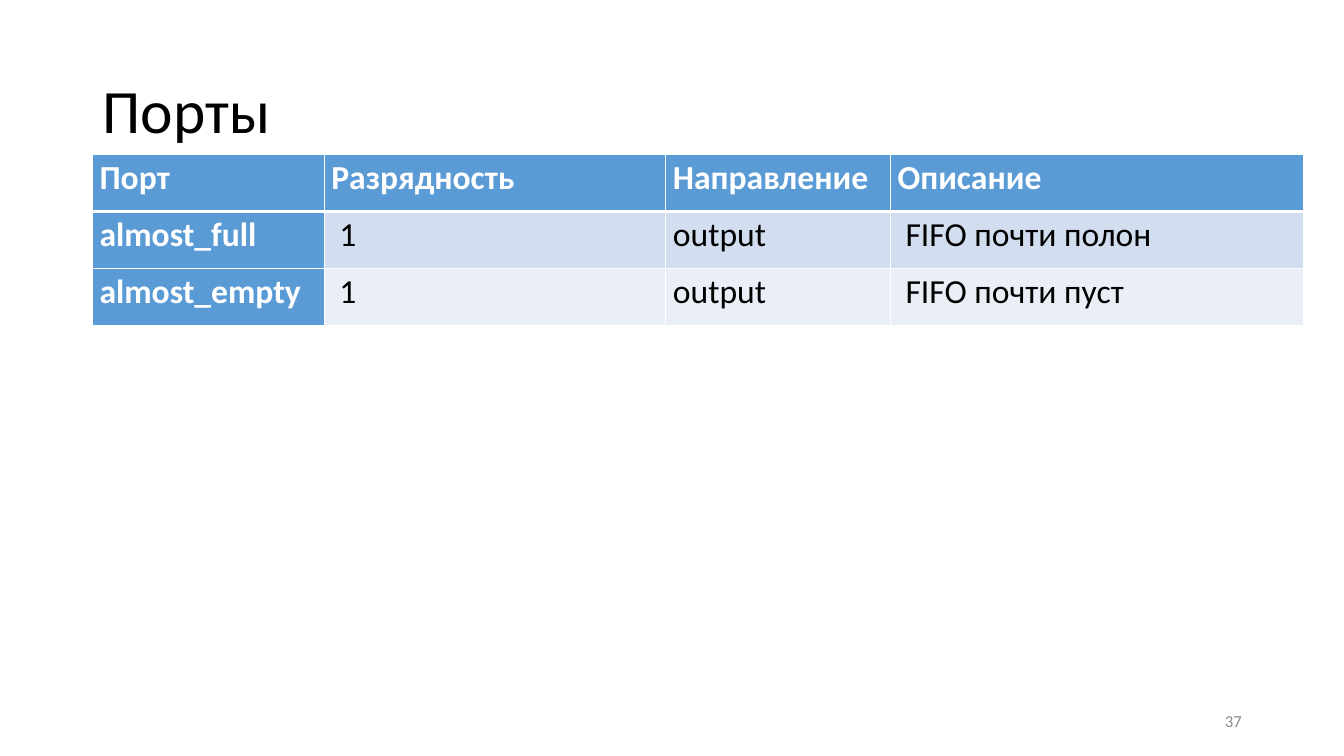
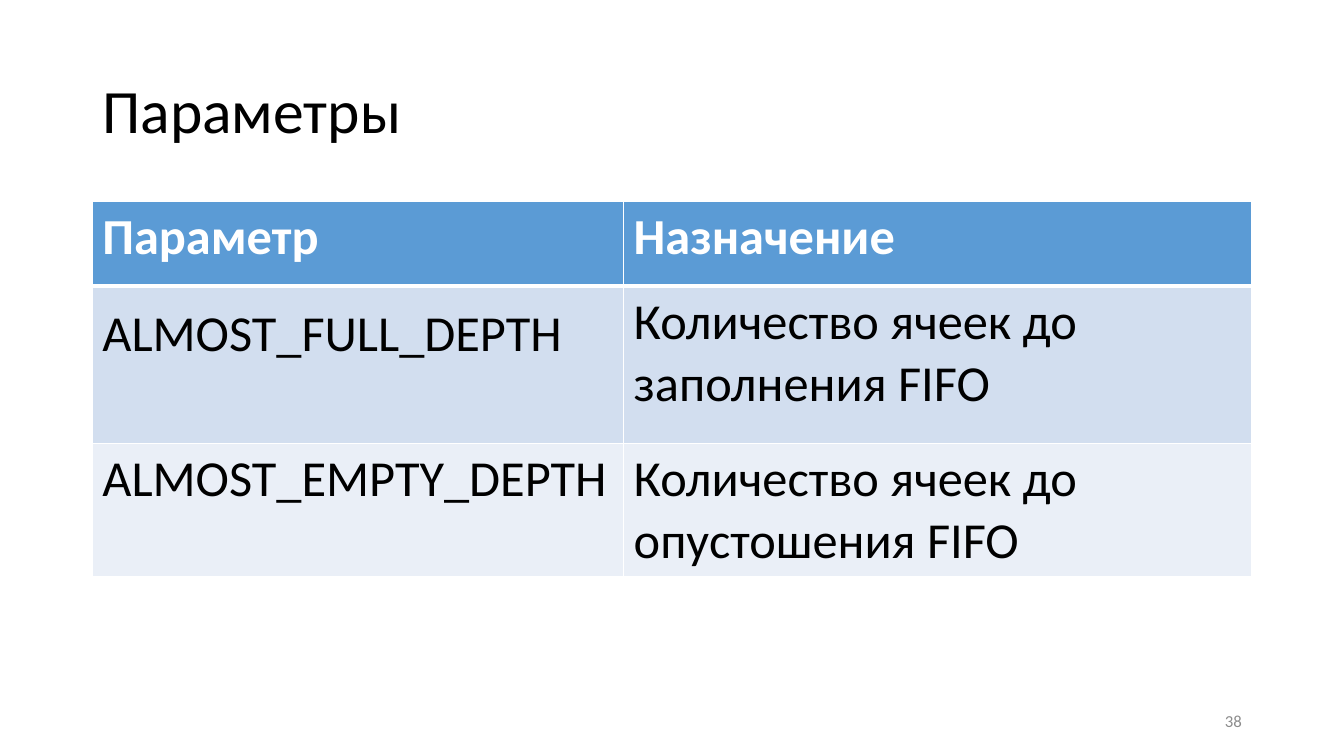
from lxml.etree import SubElement
from pptx import Presentation
from pptx.dml.color import RGBColor
from pptx.enum.text import MSO_ANCHOR as Anchor, PP_ALIGN as Align
from pptx.oxml.ns import qn
from pptx.util import Cm, Pt

FONT = "Calibri"
BLACK, WHITE, GREY = "000000", "FFFFFF", "8C8C8C"
ACCENT = "5B9BD5"
BANDS = ("D2DEEF", "EAEFF7")
LEFT = 2.33
TITLE_BOX = (LEFT, 1.02, 29.21, 3.68)
NUMBER_BOX = (23.93, 17.65, 7.62, 1.02)


def color(value):
    return RGBColor.from_string(value)


def write(text_frame, text, size, ink, bold=False, align=Align.LEFT, spacing=1.0):
    paragraph = text_frame.paragraphs[0]
    paragraph.alignment = align
    paragraph.line_spacing = spacing
    run = paragraph.add_run()
    run.text = text
    run.font.name = FONT
    run.font.size = Pt(size)
    run.font.bold = bold
    run.font.color.rgb = color(ink)


def add_label(slide, box, text, size, ink, **style):
    shape = slide.shapes.add_textbox(*map(Cm, box))
    text_frame = shape.text_frame
    text_frame.word_wrap = True
    text_frame.vertical_anchor = Anchor.MIDDLE
    write(text_frame, text, size, ink, **style)


def set_borders(cell, top=1, bottom=1):
    """Draw white cell borders; widths are in points."""
    properties = cell._tc.get_or_add_tcPr()
    widths = {"a:lnL": 1, "a:lnR": 1, "a:lnT": top, "a:lnB": bottom}
    for position, (tag, width) in enumerate(widths.items()):
        line = SubElement(properties, qn(tag), w=str(Pt(width)))
        fill = SubElement(line, qn("a:solidFill"))
        SubElement(fill, qn("a:srgbClr"), val=WHITE)
        properties.insert(position, line)


def add_grid(slide, top, widths, heights, rows, size, spacing=1.0,
             bold_first_column=False, side_margin=0.25, edge_margin=0.13,
             indents=None, cell_spacing=None):
    """Banded table; indents go by body column, cell_spacing by (row, column)."""
    indents, cell_spacing = indents or {}, cell_spacing or {}
    frame = slide.shapes.add_table(
        len(rows), len(widths), Cm(LEFT), Cm(top), Cm(sum(widths)), Cm(sum(heights)))
    table = frame.table
    table.horz_banding = False
    for column, width in zip(table.columns, widths):
        column.width = Cm(width)
    for row_index, (row, height) in enumerate(zip(rows, heights)):
        table.rows[row_index].height = Cm(height)
        is_header = row_index == 0
        for column_index, text in enumerate(row):
            cell = table.cell(row_index, column_index)
            strong = is_header or (bold_first_column and column_index == 0)
            indent = 0 if is_header else indents.get(column_index, 0)
            cell.margin_left = Cm(side_margin + indent)
            cell.margin_right = Cm(side_margin)
            cell.margin_top = cell.margin_bottom = Cm(edge_margin)
            cell.fill.solid()
            cell.fill.fore_color.rgb = color(
                ACCENT if strong else BANDS[(row_index - 1) % 2])
            set_borders(cell, top=3 if row_index == 1 else 1,
                        bottom=3 if is_header else 1)
            write(cell.text_frame, text, size, WHITE if strong else BLACK, bold=strong,
                  spacing=cell_spacing.get((row_index, column_index), spacing))


def add_page(presentation, title, number):
    slide = presentation.slides.add_slide(presentation.slide_layouts[6])
    add_label(slide, TITLE_BOX, title, 44, BLACK, spacing=0.9)
    add_label(slide, NUMBER_BOX, str(number), 12, GREY, align=Align.RIGHT)
    return slide


def add_ports_slide(presentation, number):
    slide = add_page(presentation, "Порты", number)
    rows = [
        ("Порт", "Разрядность", "Направление", "Описание"),
        ("almost_full", "1", "output", "FIFO почти полон"),
        ("almost_empty", "1", "output", "FIFO почти пуст"),
    ]
    add_grid(slide, 3.89, (5.84, 8.61, 5.66, 10.42), (1.44,) * 3, rows, 24,
             spacing=1.07, bold_first_column=True, side_margin=0.18, edge_margin=0,
             indents={1: 0.2, 3: 0.2})


def add_parameters_slide(presentation, number):
    slide = add_page(presentation, "Параметры", number)
    rows = [
        ("Параметр", "Назначение"),
        ("ALMOST_FULL_DEPTH", "Количество ячеек до заполнения FIFO"),
        ("ALMOST_EMPTY_DEPTH", "Количество ячеек до опустошения FIFO"),
    ]
    add_grid(slide, 5.08, (13.39, 15.82), (2.13, 3.96, 3.36), rows, 36,
             cell_spacing={(1, 0): 1.2})


def main():
    presentation = Presentation()
    presentation.slide_width = Cm(33.87)
    presentation.slide_height = Cm(19.05)
    add_ports_slide(presentation, 37)
    add_parameters_slide(presentation, 38)
    presentation.save("out.pptx")


if __name__ == "__main__":
    main()
